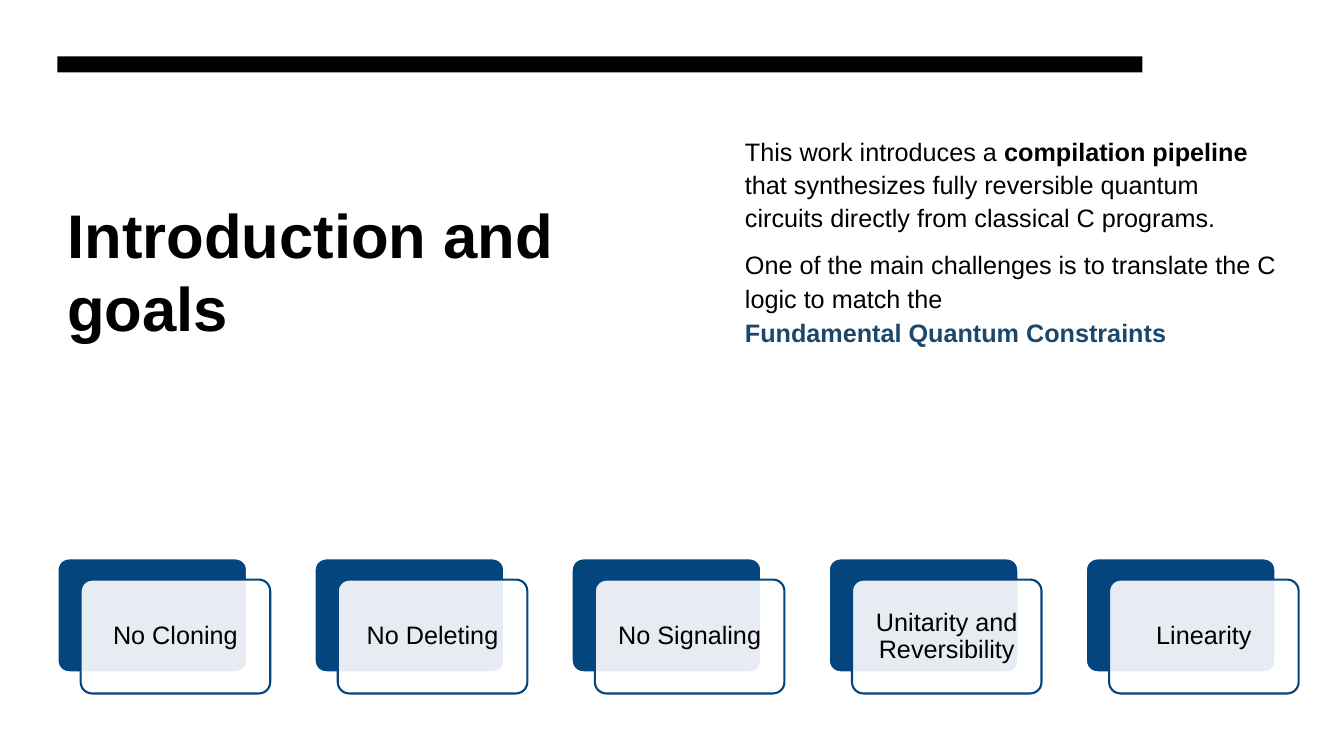
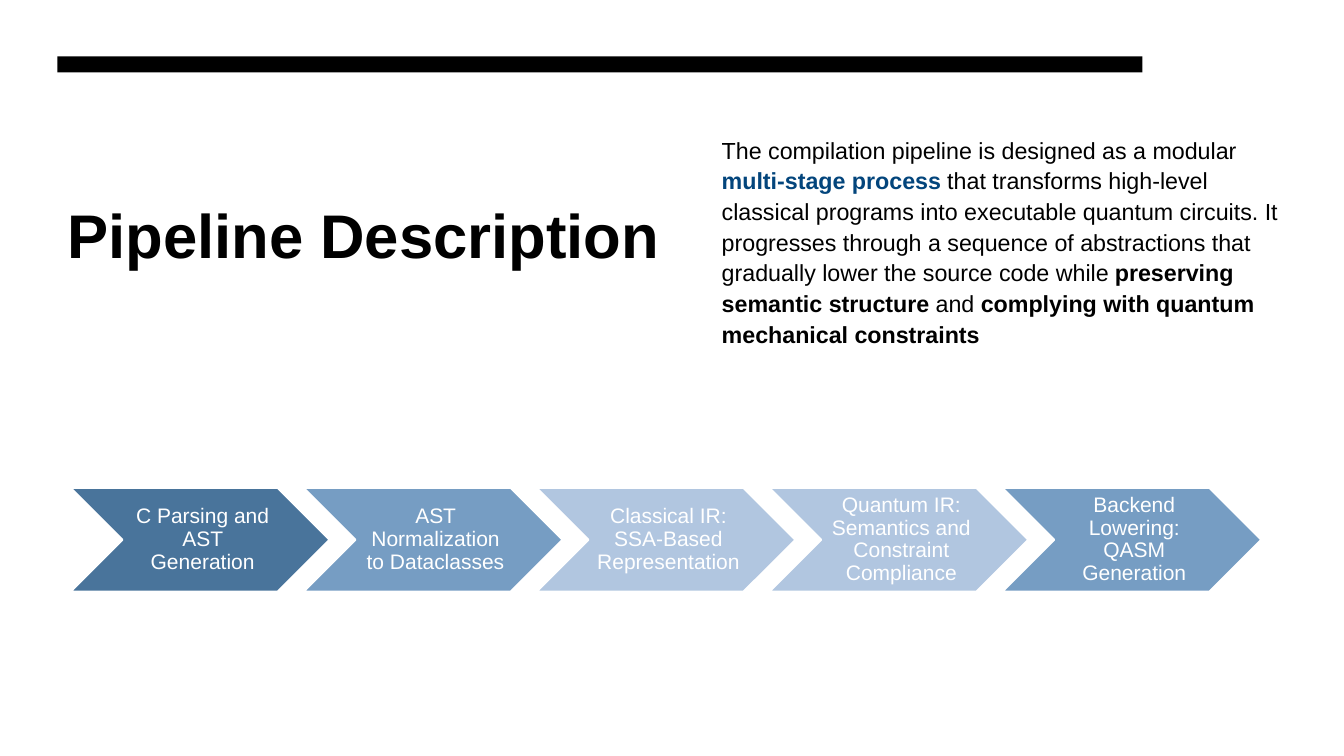
import lxml.etree
import pptx
import pptx.dml.color
import pptx.enum.shapes
import pptx.enum.text
import pptx.oxml.ns
import pptx.util

Inches = pptx.util.Inches
Pt = pptx.util.Pt
Shape = pptx.enum.shapes.MSO_SHAPE
Anchor = pptx.enum.text.MSO_ANCHOR
Align = pptx.enum.text.PP_ALIGN

COLORS = {
    "black": "000000",
    "white": "FFFFFF",
    "navy": "03457C",
    "accent": "1B476D",
    "steel": "49749B",
    "mid": "769DC3",
    "pale": "B1C6E0",
}
FONT = "Arial"
TEXT_INSETS = (0.1, 0.05, 0.1, 0.05)


def rgb(name):
    return pptx.dml.color.RGBColor.from_string(COLORS[name])


class Deck:
    """Holds the shared style and the slide being filled."""

    def __init__(self):
        self.presentation = pptx.Presentation()
        self.presentation.slide_width = Inches(13.33)
        self.presentation.slide_height = Inches(7.5)
        self.slide = None

    def new_slide(self, title):
        """Add a slide with the top band and its title."""
        self.slide = self.presentation.slides.add_slide(self.presentation.slide_layouts[6])
        self.shape(Shape.RECTANGLE, (0.57, 0.56, 10.76, 0.16), "black")
        self.text((0.57, 1.9, 6.62, 1.6), [[(title, "black", True)]], 44)

    def shape(self, kind, box, fill, line=None, opacity=None):
        shape = self.slide.shapes.add_shape(kind, *map(Inches, box))
        shape.shadow.inherit = False
        shape.fill.solid()
        shape.fill.fore_color.rgb = rgb(fill)
        if opacity is not None:
            color = shape.element.spPr.find(".//" + pptx.oxml.ns.qn("a:srgbClr"))
            alpha = lxml.etree.SubElement(color, pptx.oxml.ns.qn("a:alpha"))
            alpha.set("val", str(opacity * 1000))
        if line:
            shape.line.color.rgb = rgb(line)
            shape.line.width = Pt(1.5)
        else:
            shape.line.fill.background()
        return shape

    def fill_frame(self, frame, paragraphs, size, spacing, insets, align=Align.LEFT, anchor=Anchor.TOP):
        """Fill a text frame; each paragraph is a list of (text, color, bold) runs."""
        frame.word_wrap = True
        frame.vertical_anchor = anchor
        frame.margin_left, frame.margin_top, frame.margin_right, frame.margin_bottom = map(Inches, insets)
        for index, runs in enumerate(paragraphs):
            paragraph = frame.add_paragraph() if index else frame.paragraphs[0]
            paragraph.alignment = align
            paragraph.line_spacing = spacing
            if index:
                paragraph.space_before = Pt(10)
            for words, color, bold in runs:
                run = paragraph.add_run()
                run.text = words
                run.font.name = FONT
                run.font.size = Pt(size)
                run.font.bold = bold
                run.font.color.rgb = rgb(color)

    def text(self, box, paragraphs, size, spacing=1.0):
        frame = self.slide.shapes.add_textbox(*map(Inches, box)).text_frame
        self.fill_frame(frame, paragraphs, size, spacing, TEXT_INSETS)

    def label(self, shape, words, color, size, insets):
        """Centre a short label inside a shape."""
        self.fill_frame(shape.text_frame, [[(words, color, False)]], size, 0.9, insets,
                        Align.CENTER, Anchor.MIDDLE)

    def card(self, left, top, words):
        """Draw a white card overlapping a navy one."""
        width, height = 1.88, 1.13
        back = self.shape(Shape.ROUNDED_RECTANGLE, (left, top, width, height), "navy", "white")
        front = self.shape(Shape.ROUNDED_RECTANGLE, (left + 0.23, top + 0.21, width, height),
                           "white", "navy", opacity=90)
        for layer in (back, front):
            layer.adjustments[0] = 0.1
        self.label(front, words, "black", 18, (0.09, 0.09, 0.09, 0.09))

    def stage(self, left, words, fill):
        chevron = self.shape(Shape.CHEVRON, (left, 4.84, 2.57, 1.03), fill, "white")
        self.label(chevron, words, "white", 15, (0.07, 0.02, 0.02, 0.02))


def add_introduction(deck):
    deck.new_slide("Introduction and goals")
    deck.text((7.29, 1.27, 5.48, 2.24), [
        [("This work introduces a ", "black", False),
         ("compilation pipeline ", "black", True),
         ("that synthesizes fully reversible quantum circuits directly from classical C programs.",
          "black", False)],
        [("One of the main challenges is to translate the C logic to match the", "black", False)],
    ], 18, 1.1)
    deck.text((7.29, 3.1, 4.43, 0.4), [[("Fundamental Quantum Constraints", "accent", True)]], 18)
    constraints = ["No Cloning", "No Deleting", "No Signaling", "Unitarity and Reversibility", "Linearity"]
    for index, constraint in enumerate(constraints):
        deck.card(0.57 + index * 2.55, 5.54, constraint)


def add_pipeline(deck):
    deck.new_slide("Pipeline Description")
    deck.text((7.06, 1.27, 5.71, 2.49), [[
        ("The compilation pipeline is designed as a modular ", "black", False),
        ("multi-stage process ", "navy", True),
        ("that transforms high-level classical programs into executable quantum circuits. "
         "It progresses through a sequence of abstractions that gradually lower the source code while ",
         "black", False),
        ("preserving semantic structure ", "black", True),
        ("and ", "black", False),
        ("complying with quantum mechanical constraints", "black", True),
    ]], 16.6, 1.1)
    stages = [
        ("C Parsing and AST Generation", "steel"),
        ("AST Normalization to Dataclasses", "mid"),
        ("Classical IR: SSA-Based Representation", "pale"),
        ("Quantum IR: Semantics and Constraint Compliance", "pale"),
        ("Backend Lowering: QASM Generation", "mid"),
    ]
    for index, (words, fill) in enumerate(stages):
        deck.stage(0.7 + index * 2.31, words, fill)


def main():
    deck = Deck()
    add_introduction(deck)
    add_pipeline(deck)
    deck.presentation.save("out.pptx")


if __name__ == "__main__":
    main()
